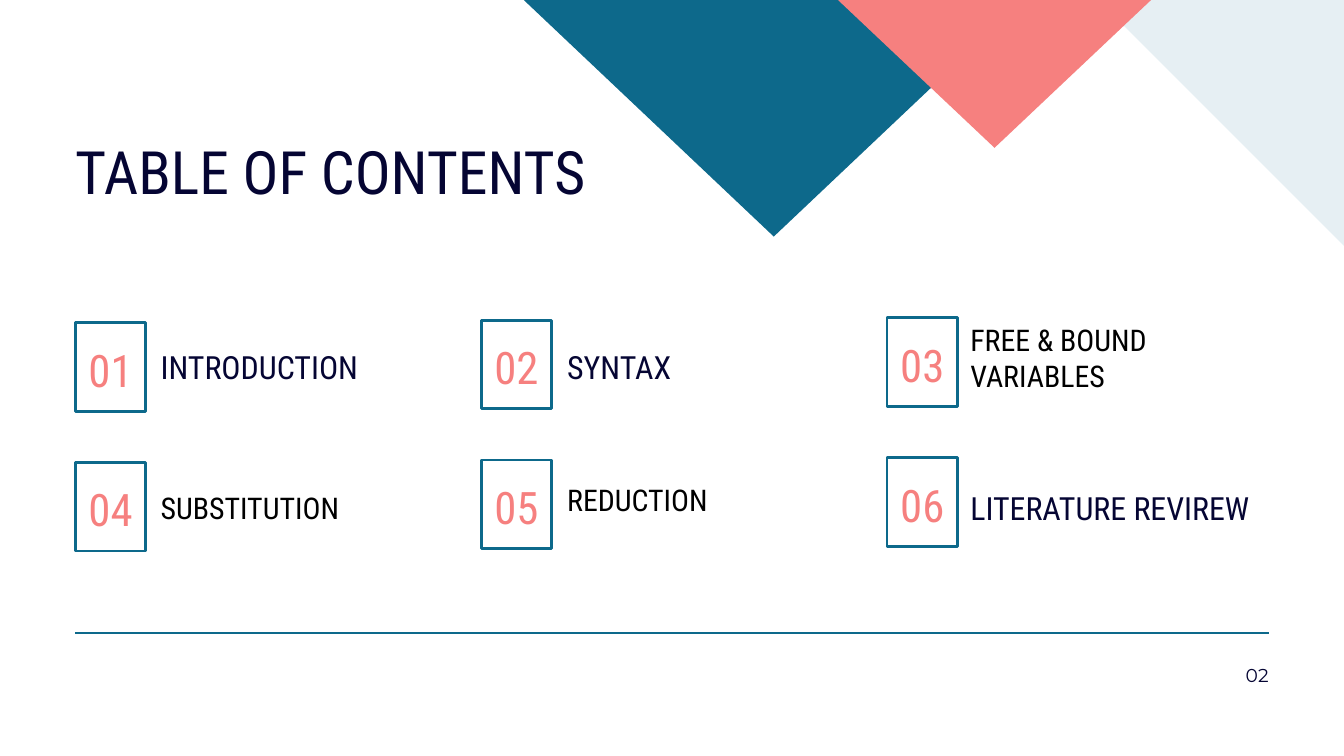
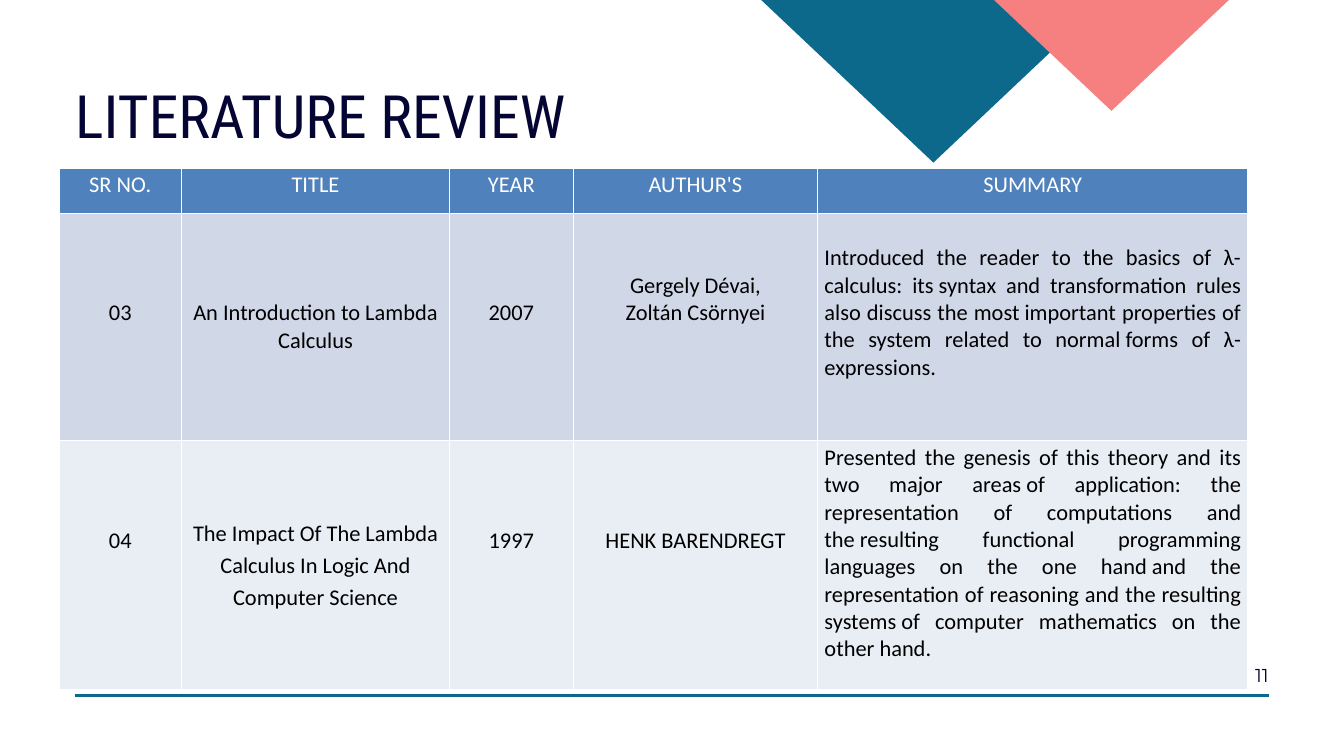
from lxml.etree import SubElement as Sub
from pptx import Presentation
from pptx.dml.color import RGBColor as Rgb
from pptx.enum.shapes import MSO_CONNECTOR as Conn, MSO_SHAPE as Shape
from pptx.enum.text import PP_ALIGN as Align
from pptx.oxml.ns import qn
from pptx.util import Inches, Pt

COLS, ROWS = 20, 11.25
UNIT = Inches(1)  # side of one grid cell
LEFT, RIGHT = 1.12, 18.88
HEAD, BODY, PAGE = "Roboto Condensed", "Calibri", "Montserrat"
HUES = {
    "teal": "0D698B", "coral": "F6807F", "navy": "050533",
    "black": "000000", "white": "FFFFFF",
    "top": "4F81BD", "odd": "D0D8E8", "even": "E9EDF4",
}


def hue(name):
    return Rgb.from_string(HUES[name])


def cell(n):
    """Turn grid cells into a length."""
    return round(n * UNIT)


class Deck:
    def __init__(self):
        self.prs = Presentation()
        self.prs.slide_width, self.prs.slide_height = cell(COLS), cell(ROWS)
        self.slide = None

    def add(self):
        self.slide = self.prs.slides.add_slide(self.prs.slide_layouts[6])

    def style(self, para, font, size, color, align=Align.LEFT, lead=None):
        para.font.name, para.font.size = font, Pt(size)
        para.font.color.rgb = hue(color)
        para.font.bold = False
        para.alignment = align
        if lead:
            para.line_spacing = lead

    def text(self, words, x, y, w, h, size, color="navy", font=HEAD,
             align=Align.LEFT, lead=None):
        box = self.slide.shapes.add_textbox(*map(cell, (x, y, w, h)))
        frame = box.text_frame
        frame.word_wrap = True
        frame.margin_left = frame.margin_right = 0
        frame.margin_top = frame.margin_bottom = 0
        frame.text = words
        for para in frame.paragraphs:
            self.style(para, font, size, color, align, lead)

    def title(self, words, y):
        self.text(words, LEFT, y, 10.8, 1.2, 64, lead=Pt(89.6))

    def foot(self, page, y):
        """Draw the rule at row y and the page number."""
        line = self.slide.shapes.add_connector(
            Conn.STRAIGHT, cell(LEFT), cell(y), cell(RIGHT), cell(y))
        line.line.color.rgb, line.line.width = hue("teal"), Pt(2.25)
        Sub(line._element.spPr, qn("a:effectLst"))
        self.text(page, RIGHT - 0.93, 9.83, 0.93, 0.36, 20, font=PAGE,
                  align=Align.RIGHT, lead=Pt(28))

    def wedge(self, points, color, alpha=None):
        (x, y), *rest = [(cell(a), cell(b)) for a, b in points]
        build = self.slide.shapes.build_freeform(x, y)
        build.add_line_segments(rest, close=True)
        form = build.convert_to_shape()
        form.shadow.inherit = False
        form.fill.solid()
        form.fill.fore_color.rgb = hue(color)
        form.line.fill.background()
        if alpha:
            tint = form._element.spPr.find(f".//{qn('a:srgbClr')}")
            Sub(tint, qn("a:alpha"), val=str(alpha * 1000))

    def peak(self, x, y, w, h, color):
        """Draw a triangle that points down from its top edge."""
        self.wedge([(x + w / 2, y + h), (x + w, y), (x, y)], color)

    def badge(self, num, x, y):
        box = self.slide.shapes.add_shape(
            Shape.RECTANGLE, *map(cell, (x, y, 1.05, 1.32)))
        box.shadow.inherit = False
        box.fill.background()
        box.line.color.rgb, box.line.width = hue("teal"), Pt(3)
        self.text(num, x, y + 0.16, 1.05, 0.9, 48, "coral",
                  align=Align.CENTER, lead=Pt(67.2))

    def table(self, x, y, wides, highs, rows, drops):
        """Fill a table; drops gives each text's lines of space above."""
        grid = self.slide.shapes.add_table(
            len(highs), len(wides),
            *map(cell, (x, y, sum(wides), sum(highs)))).table
        for col, wide in zip(grid.columns, wides):
            col.width = cell(wide)
        for r, (row, high) in enumerate(zip(rows, highs)):
            grid.rows[r].height = cell(high)
            for c, words in enumerate(row):
                box = grid.cell(r, c)
                box.fill.solid()
                box.fill.fore_color.rgb = hue(("top", "odd", "even")[r])
                box.margin_top = cell(0.05 + 0.41 * drops[r][c])
                box.text = words.replace("~", chr(160))  # ~ ties words
                wide = r and c == len(row) - 1
                self.style(box.text_frame.paragraphs[0], BODY, 24,
                           "black" if r else "white",
                           Align.JUSTIFY if wide else Align.CENTER)
        return grid


TOPICS = [  # words, left, top, size, colour, line spacing
    ("INTRODUCTION", 2.39, 5.08, 34.2, "navy", Pt(47.8)),
    ("SYNTAX", 8.44, 5.08, 34.2, "navy", Pt(47.8)),
    ("FREE & BOUND\nVARIABLES", 14.44, 4.79, 32, "black", None),
    ("SUBSTITUTION", 2.39, 7.15, 32, "black", Pt(47.8)),
    ("REDUCTION", 8.44, 7.17, 32, "black", None),
    ("LITERATURE REVIREW", 14.44, 7.17, 34.2, "navy", Pt(47.8)),
]

PAPERS = [
    ["SR NO.", "TITLE", "YEAR", "AUTHUR'S", "SUMMARY"],
    ["03", "An Introduction to~Lambda Calculus", "2007",
     "Gergely Dévai, Zoltán~Csörnyei",
     "Introduced the reader to the basics of λ-calculus: its~syntax and "
     "transformation rules also discuss the most~important properties of "
     "the system related to normal~forms of λ-expressions."],
    ["04", "The Impact Of The~Lambda Calculus In~Logic And "
     "Computer~Science", "1997", "HENK~BARENDREGT",
     "Presented the genesis of this theory and its two major areas~of "
     "application: the representation of computations and the~resulting "
     "functional programming languages on the one hand~and the "
     "representation of reasoning and the resulting systems~of computer "
     "mathematics on the other hand."],
]
DROPS = [[0] * 5, [3, 3, 3, 2, 1], [3, 2.62, 3, 3, 0]]


def contents(deck):
    deck.add()
    deck.peak(7.16, -0.6, 8.71, 4.12, "teal")
    deck.wedge([(16.34, 0), (COLS, 0), (COLS, 3.66)], "teal", 10)
    deck.peak(12.47, 0, 4.66, 2.2, "coral")
    deck.title("TABLE OF CONTENTS", 1.83)
    for i, (words, x, y, size, color, lead) in enumerate(TOPICS):
        row, col = divmod(i, 3)
        deck.badge(f"{i + 1:02}", LEFT + 6.04 * col,
                   4.8 - 0.035 * col + 2.08 * row)
        deck.text(words, x, y, 4.28, 0.63, size, color, lead=lead)
    deck.foot("02", 9.42)


def review(deck):
    deck.add()
    deck.title("LITERATURE REVIEW", 0.99)
    deck.peak(10.47, -0.81, 6.84, 3.23, "teal")
    deck.peak(14.21, -0.55, 4.66, 2.2, "coral")
    deck.foot("11", 10.35)
    grid = deck.table(0.88, 2.5, [1.82, 3.99, 1.84, 3.64, 6.4],
                      [0.68, 3.38, 3.7], PAPERS, DROPS)
    grid.cell(2, 1).text_frame.paragraphs[0].line_spacing = 1.16


def main():
    deck = Deck()
    contents(deck)
    review(deck)
    deck.prs.save("out.pptx")


if __name__ == "__main__":
    main()
